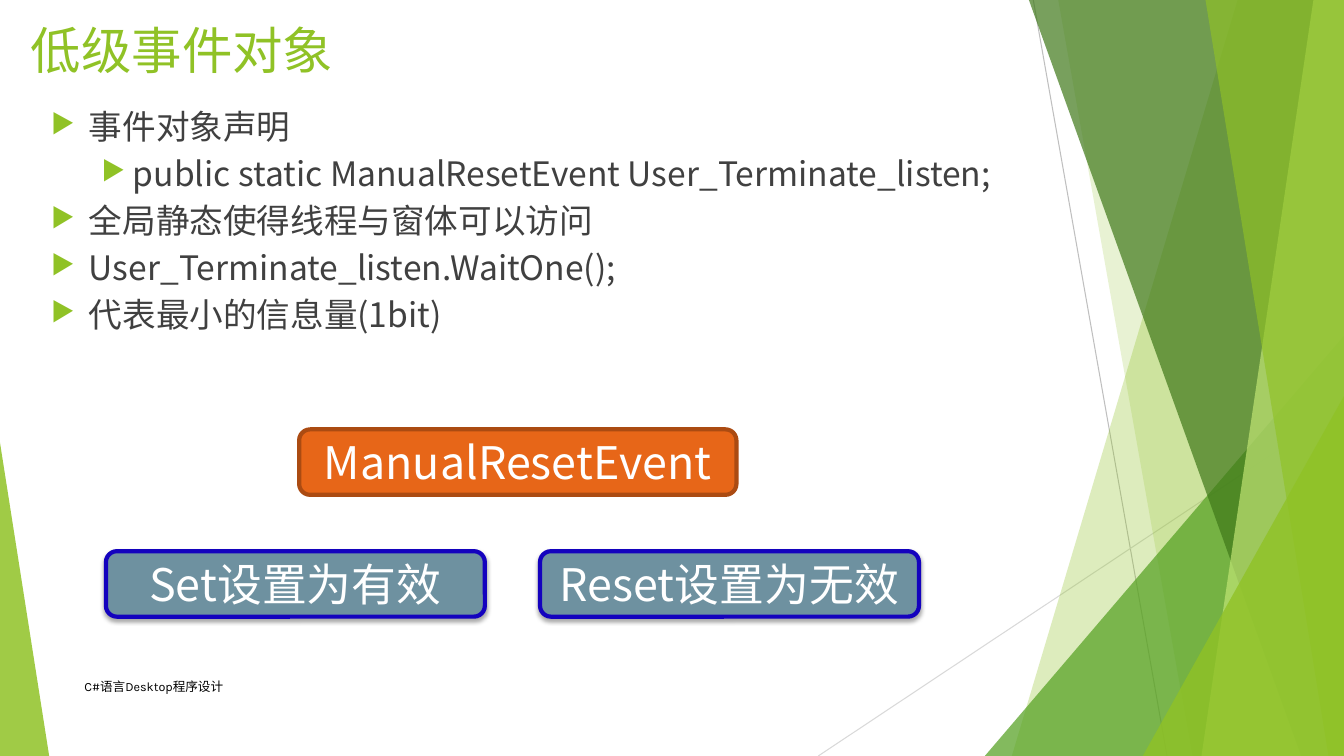
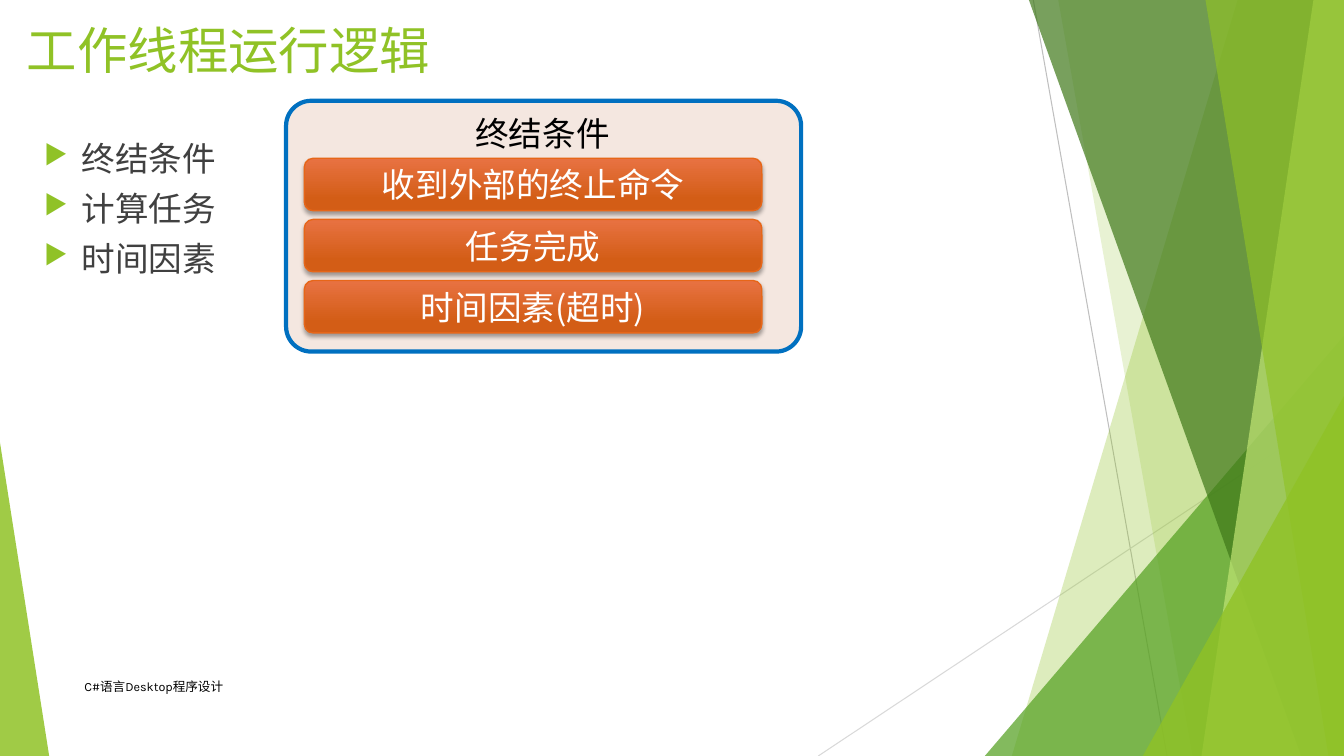
"""Build two slides on event objects and worker-thread logic."""
from dataclasses import dataclass

from lxml import etree
from pptx import Presentation
from pptx import util as u
from pptx.dml import color, fill
from pptx.enum import shapes, text
from pptx.oxml import ns

COLORS = {
    "lime": "90C226", "green": "54A021", "forest": "3F7819", "pale": "C0E474",
    "gray": "BFBFBF", "silver": "D9D9D9", "body": "404040", "black": "000000",
    "white": "FFFFFF", "slate": "6E91A0", "navy": "1402BE", "orange": "E76618",
    "rust": "AB4B12", "brown": "AD4C12", "blue": "0070C0",
    "grad_top": "E87242", "grad_end": "D35D16",
}
WIDTH, HEIGHT = 33.87, 19.05
SANS, HEAD = "Noto Sans CJK SC", "Karla"
INDENTS = [(0.95, -0.95), (2.06, -0.79)]


@dataclass(frozen=True)
class Box:
    x: float
    y: float
    w: float
    h: float

    def cm(self) -> list[u.Length]:
        return [u.Cm(v) for v in (self.x, self.y, self.w, self.h)]


@dataclass(frozen=True)
class Ray:
    x1: float
    y1: float
    x2: float
    y2: float
    color: str


@dataclass(frozen=True)
class Band:
    top: float
    bottom: float
    color: str
    alpha: int


@dataclass(frozen=True)
class Wedge:
    x: float
    y: float
    w: float
    apex: int
    color: str
    alpha: int


@dataclass(frozen=True)
class Style:
    size: float
    color: str
    font: str = SANS


@dataclass(frozen=True)
class Card:
    box: Box
    label: str
    size: float
    fill: str
    line: str
    line_width: float = 3
    shadow: bool = True


@dataclass(frozen=True)
class Item:
    label: str
    level: int = 0


RAYS = [
    Ray(26.04, 0, 29.41, HEIGHT, "gray"),
    Ray(WIDTH, 10.24, 20.62, HEIGHT, "silver"),
]
FACETS = [
    Band(31.19, 25.5, "lime", 30),
    Band(26.67, 30.05, "lime", 20),
    Wedge(24.82, 8.46, 9.05, 1, "green", 72),
    Band(25.93, 32.79, "forest", 70),
    Band(33.1, 30.28, "pale", 70),
    Band(30.38, 33.48, "lime", 65),
    Wedge(28.8, 9.98, 5.07, 1, "lime", 80),
    Wedge(0, 11.15, 1.24, 0, "lime", 85),
]
TITLE = Style(36, "lime", HEAD)
FOOTER = Style(9, "black", HEAD)
BODY = Style(24, "body")


def rgb(name: str) -> color.RGBColor:
    return color.RGBColor.from_string(COLORS[name])


def sub(parent, tag: str, **attrs):
    el = etree.SubElement(parent, ns.qn(tag))
    for key, value in attrs.items():
        el.set(key, str(value))
    return el


def paint(sp, name: str, alpha: int = 100) -> None:
    sp.shadow.inherit = False
    sp.fill.solid()
    sp.fill.fore_color.rgb = rgb(name)
    if alpha < 100:
        clr = sp._element.spPr.find(ns.qn("a:solidFill"))[0]
        sub(clr, "a:alpha", val=alpha * 1000)


def outline(sp, name: str, width: float) -> None:
    sp.line.color.rgb = rgb(name)
    sp.line.width = u.Pt(width)


def cast_shadow(sp) -> None:
    effects = sp._element.spPr.find(ns.qn("a:effectLst"))
    outer = sub(effects, "a:outerShdw", blurRad=u.Pt(3), dist=u.Pt(2),
                dir=5400000, rotWithShape=0)
    sub(sub(outer, "a:srgbClr", val=COLORS["black"]), "a:alpha", val=35000)


def format_runs(p, style: Style) -> None:
    for r in p.runs:
        r.font.size = u.Pt(style.size)
        r.font.name = style.font
        r.font.color.rgb = rgb(style.color)
        sub(r.font._element, "a:ea", typeface=style.font)


def add_text(s, box: Box, label: str, style: Style, wrap: bool = True,
             anchor=text.MSO_ANCHOR.TOP) -> None:
    tf = s.shapes.add_textbox(*box.cm()).text_frame
    tf.word_wrap = wrap
    tf.vertical_anchor = anchor
    tf.text = label
    format_runs(tf.paragraphs[0], style)


def add_bullets(s, box: Box, items: list[Item], spacing: float, before: float) -> None:
    tf = s.shapes.add_textbox(*box.cm()).text_frame
    tf.word_wrap = True
    for i, item in enumerate(items):
        p = tf.add_paragraph() if i else tf.paragraphs[0]
        p.text = item.label
        p.level = item.level
        pPr = p._p.get_or_add_pPr()
        margin, indent = INDENTS[item.level]
        pPr.set("marL", str(u.Cm(margin)))
        pPr.set("indent", str(u.Cm(indent)))
        sub(sub(pPr, "a:buClr"), "a:srgbClr", val=COLORS["lime"])
        sub(pPr, "a:buSzPct", val=80000)
        sub(pPr, "a:buChar", char="▶")
        p.line_spacing = spacing
        p.space_before = u.Pt(before if i else 0)
        format_runs(p, BODY)


def add_card(s, card: Card) -> None:
    sp = s.shapes.add_shape(shapes.MSO_SHAPE.ROUNDED_RECTANGLE, *card.box.cm())
    if card.fill == "gradient":
        sp.shadow.inherit = False
        shade(sp.fill)
    else:
        paint(sp, card.fill)
    outline(sp, card.line, card.line_width)
    if card.shadow:
        cast_shadow(sp)
    tf = sp.text_frame
    tf.word_wrap = True
    tf.vertical_anchor = text.MSO_ANCHOR.MIDDLE
    tf.text = card.label
    p = tf.paragraphs[0]
    p.alignment = text.PP_ALIGN.CENTER
    format_runs(p, Style(card.size, "white"))


def shade(area: fill.FillFormat) -> None:
    area.gradient()
    area.gradient_angle = 270
    stops = [(0, "grad_top"), (0.78, "grad_end")]
    for stop, (position, name) in zip(area.gradient_stops, stops):
        stop.position = position
        stop.color.rgb = rgb(name)


def add_facet(s, facet: Band | Wedge) -> None:
    if isinstance(facet, Band):
        fb = s.shapes.build_freeform(u.Cm(facet.top), 0)
        corners = [(WIDTH, 0), (WIDTH, HEIGHT), (facet.bottom, HEIGHT)]
        fb.add_line_segments([(u.Cm(x), u.Cm(y)) for x, y in corners])
        sp = fb.convert_to_shape()
    else:
        box = Box(facet.x, facet.y, facet.w, HEIGHT - facet.y)
        sp = s.shapes.add_shape(shapes.MSO_SHAPE.ISOSCELES_TRIANGLE, *box.cm())
        sp.adjustments[0] = facet.apex
    paint(sp, facet.color, facet.alpha)
    sp.line.fill.background()


def add_base(prs, title: str, title_box: Box):
    s = prs.slides.add_slide(prs.slide_layouts[6])
    for ray in RAYS:
        ends = [u.Cm(v) for v in (ray.x1, ray.y1, ray.x2, ray.y2)]
        line = s.shapes.add_connector(shapes.MSO_CONNECTOR.STRAIGHT, *ends)
        outline(line, ray.color, 0.75)
        sub(line._element.spPr, "a:effectLst")
    for facet in FACETS:
        add_facet(s, facet)
    add_text(s, Box(1.88, 16.79, 17.5, 1.02), "C#语言Desktop程序设计", FOOTER,
             anchor=text.MSO_ANCHOR.MIDDLE)
    add_text(s, title_box, title, TITLE)
    return s


def build_event_slide(prs) -> None:
    s = add_base(prs, "低级事件对象", Box(0.53, 0.36, 8.89, 2.31))
    items = [
        Item("事件对象声明"),
        Item("public static ManualResetEvent User_Terminate_listen;", 1),
        Item("全局静态使得线程与窗体可以访问"),
        Item("User_Terminate_listen.WaitOne();"),
        Item("代表最小的信息量(1bit)"),
    ]
    add_bullets(s, Box(1.04, 2.67, 26.67, 6.91), items, 0.9, 7.6)
    for i, label in enumerate(["Set设置为有效", "Reset设置为无效"]):
        box = Box(2.67 + i * 10.94, 13.89, 9.55, 1.65)
        add_card(s, Card(box, label, 32, "slate", "navy"))
    add_card(s, Card(Box(7.54, 10.82, 11.02, 1.65), "ManualResetEvent", 32,
                     "orange", "rust", shadow=False))


def build_worker_slide(prs) -> None:
    s = add_base(prs, "工作线程运行逻辑", Box(0.43, 0.36, 11.07, 2.18))
    items = [Item(label) for label in ("终结条件", "计算任务", "时间因素")]
    add_bullets(s, Box(0.86, 3.25, 5.28, 5.59), items, 1.1, 3.9)
    panel = s.shapes.add_shape(shapes.MSO_SHAPE.ROUNDED_RECTANGLE,
                               *Box(7.21, 2.54, 12.98, 6.32).cm())
    panel.adjustments[0] = 0.1
    paint(panel, "brown", 13)
    outline(panel, "blue", 3)
    add_text(s, Box(11.73, 2.72, 3.94, 1.27), "终结条件", Style(24, "black"), wrap=False)
    for i, label in enumerate(["收到外部的终止命令", "任务完成", "时间因素(超时)"]):
        box = Box(7.67, 3.99 + i * 1.54, 11.53, 1.32)
        add_card(s, Card(box, label, 24, "gradient", "orange", 1))


def main() -> None:
    prs = Presentation()
    prs.slide_width, prs.slide_height = u.Cm(WIDTH), u.Cm(HEIGHT)
    build_event_slide(prs)
    build_worker_slide(prs)
    prs.save("out.pptx")


if __name__ == "__main__":
    main()
